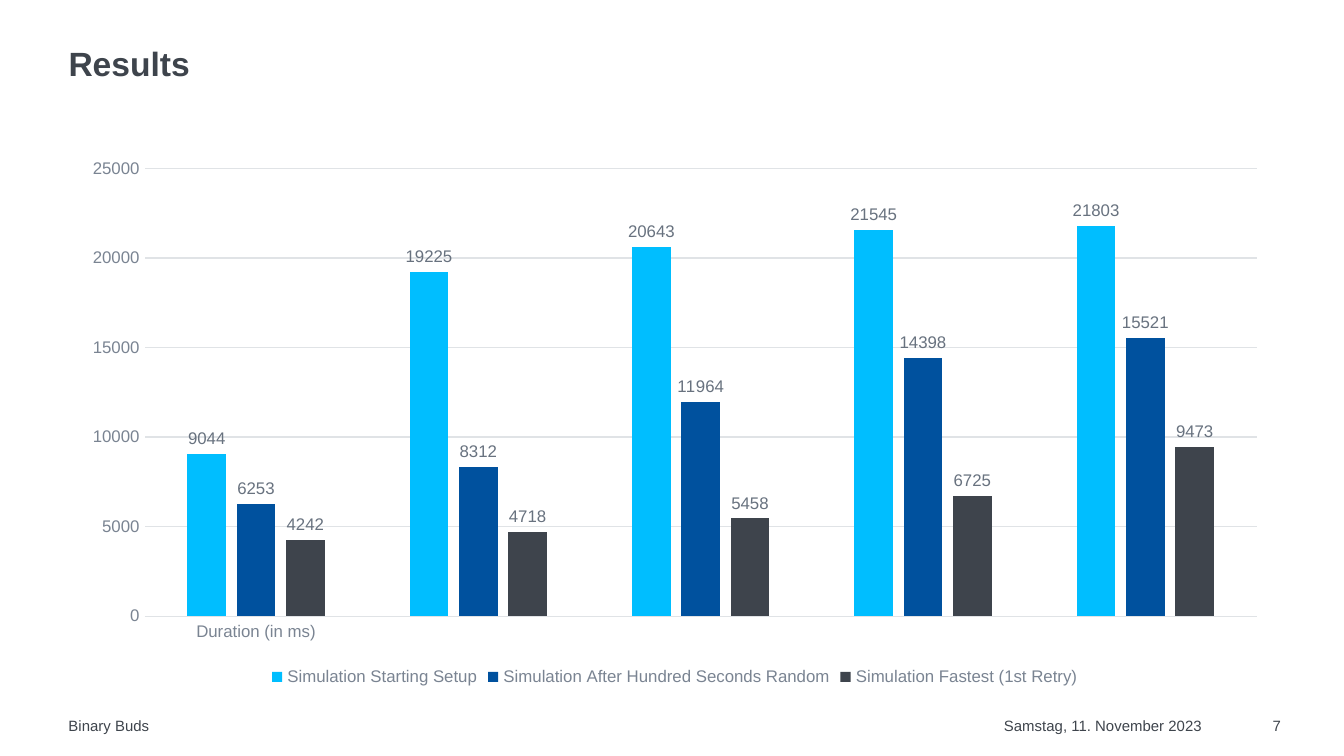
from dataclasses import dataclass

from pptx import Presentation
from pptx.chart.data import CategoryChartData
from pptx.dml.color import RGBColor
from pptx.enum.chart import XL_CHART_TYPE as ChartType
from pptx.enum.chart import XL_LABEL_POSITION as LabelPosition
from pptx.enum.chart import XL_LEGEND_POSITION as LegendPosition
from pptx.enum.chart import XL_TICK_MARK as TickMark
from pptx.enum.text import MSO_ANCHOR, PP_ALIGN
from pptx.util import Inches, Pt


@dataclass(frozen=True)
class Theme:
    font: str = "Arial"
    dark: str = "3E444C"
    axis: str = "7A8492"
    label: str = "68727F"
    grid: str = "E0E3E6"
    series: tuple = ("00BEFF", "00519E", "3E444C")
    title_size: int = 18
    chart_size: int = 9
    footer_size: int = 8
    line_width: float = 0.75


THEME = Theme()

# Only the first group of columns is labelled
CATEGORIES = ["Duration (in ms)"]
DURATIONS = {
    "Simulation Starting Setup": (9044, 19225, 20643, 21545, 21803),
    "Simulation After Hundred Seconds Random": (6253, 8312, 11964, 14398, 15521),
    "Simulation Fastest (1st Retry)": (4242, 4718, 5458, 6725, 9473),
}


def style_font(font, size, color, bold=False):
    font.name = THEME.font
    font.size = Pt(size)
    font.bold = bold
    font.color.rgb = RGBColor.from_string(color)


def style_line(line):
    line.color.rgb = RGBColor.from_string(THEME.grid)
    line.width = Pt(THEME.line_width)


def fill_text(shape, text, size, bold=False, align=PP_ALIGN.LEFT):
    frame = shape.text_frame
    frame.margin_left = frame.margin_right = 0
    frame.margin_top = frame.margin_bottom = 0
    frame.word_wrap = True
    frame.text = text
    paragraph = frame.paragraphs[0]
    paragraph.alignment = align
    style_font(paragraph.runs[0].font, size, THEME.dark, bold)


def add_title(slide, left, top, width, height, text):
    title = slide.shapes.title
    title.left, title.top = Inches(left), Inches(top)
    title.width, title.height = Inches(width), Inches(height)
    fill_text(title, text, THEME.title_size, bold=True)
    title.text_frame.vertical_anchor = MSO_ANCHOR.MIDDLE
    title.text_frame.paragraphs[0].line_spacing = 0.9


def add_results_chart(slide, left, top, width, height):
    data = CategoryChartData(number_format="General")
    data.categories = CATEGORIES
    for name, values in DURATIONS.items():
        data.add_series(name, values)
    chart = slide.shapes.add_chart(
        ChartType.COLUMN_CLUSTERED,
        Inches(left), Inches(top), Inches(width), Inches(height), data,
    ).chart
    chart.has_title = False
    style_font(chart.font, THEME.chart_size, THEME.axis)

    # Axes and grid
    for axis in (chart.category_axis, chart.value_axis):
        axis.major_tick_mark = axis.minor_tick_mark = TickMark.NONE
        style_font(axis.tick_labels.font, THEME.chart_size, THEME.axis)
    style_line(chart.category_axis.format.line)
    chart.value_axis.format.line.fill.background()
    chart.value_axis.has_major_gridlines = True
    style_line(chart.value_axis.major_gridlines.format.line)
    chart.value_axis.minimum_scale = 0
    chart.value_axis.maximum_scale = 25000
    chart.value_axis.major_unit = 5000

    # Columns with their values
    plot = chart.plots[0]
    plot.gap_width = 219
    plot.overlap = -27
    plot.vary_by_categories = False
    for series, color in zip(plot.series, THEME.series):
        series.format.fill.solid()
        series.format.fill.fore_color.rgb = RGBColor.from_string(color)
        labels = series.data_labels
        labels.show_value = True
        labels.position = LabelPosition.OUTSIDE_END
        style_font(labels.font, THEME.chart_size, THEME.label)

    # Legend
    chart.has_legend = True
    chart.legend.position = LegendPosition.BOTTOM
    chart.legend.include_in_layout = False
    style_font(chart.legend.font, THEME.chart_size, THEME.axis)


def add_footer(slide, left, top, width, height, team, date, number):
    number_width = 0.24
    parts = (
        (team, 0, 6.63, PP_ALIGN.LEFT),
        (date, 6.96, 1.6, PP_ALIGN.LEFT),
        (number, width - number_width, number_width, PP_ALIGN.RIGHT),
    )
    for text, offset, part_width, align in parts:
        box = slide.shapes.add_textbox(
            Inches(left + offset), Inches(top), Inches(part_width), Inches(height)
        )
        fill_text(box, text, THEME.footer_size, align=align)


def main():
    presentation = Presentation()
    # Widescreen, 16:9
    presentation.slide_width = Inches(10)
    presentation.slide_height = Inches(10 * 9 / 16)
    title_only = presentation.slide_layouts[5]
    slide = presentation.slides.add_slide(title_only)

    left, width = 0.51, 9.02
    add_title(slide, left, 0.35, width, 0.28, "Results")
    add_results_chart(slide, left, 1.1, width, 4.05)
    add_footer(slide, left, 5.33, width, 0.13,
               "Binary Buds", "Samstag, 11. November 2023", "7")
    presentation.save("out.pptx")


if __name__ == "__main__":
    main()
